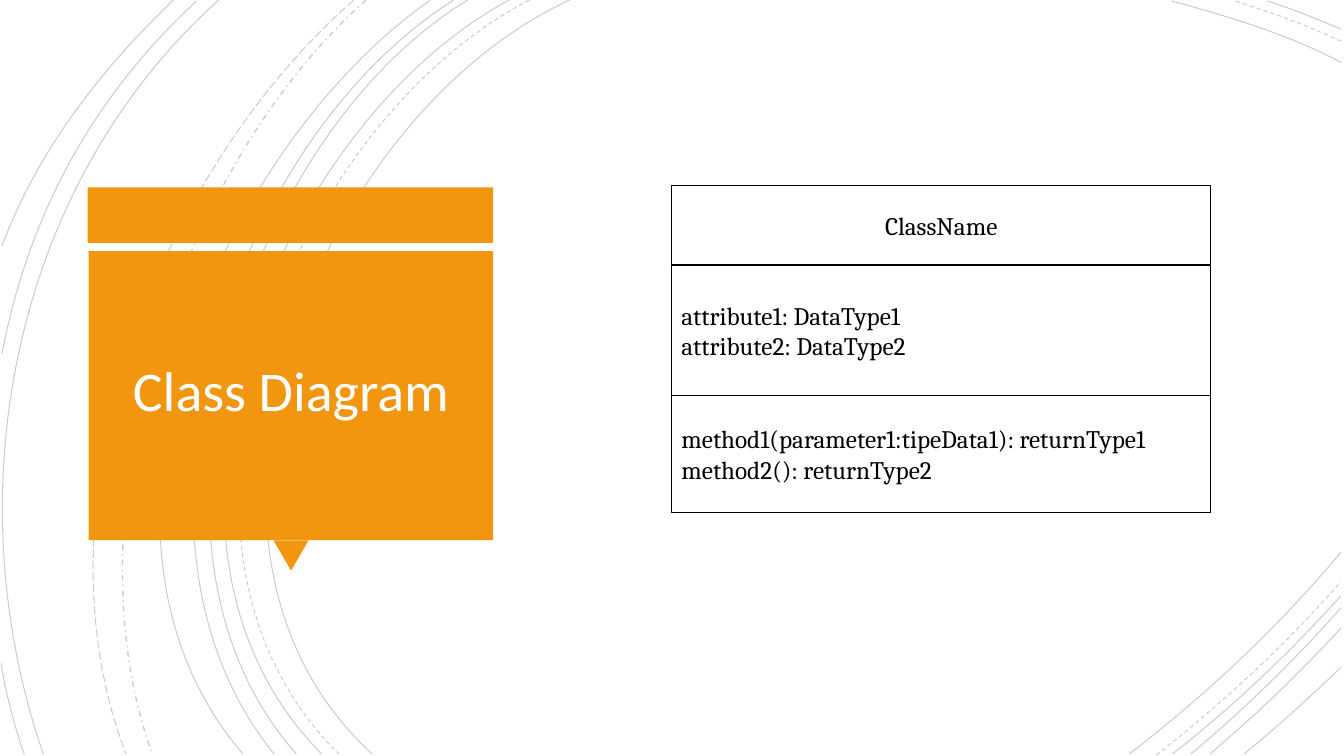
import dataclasses

import pptx
import pptx.dml.color
import pptx.enum.dml
import pptx.enum.shapes
import pptx.enum.text
import pptx.oxml
import pptx.oxml.ns
import pptx.util
from lxml import etree

SHAPE = pptx.enum.shapes.MSO_SHAPE
DASH = pptx.enum.dml.MSO_LINE
ALIGN = pptx.enum.text.PP_ALIGN
MIDDLE = pptx.enum.text.MSO_ANCHOR.MIDDLE
CELLS_PER_INCH = 100


@dataclasses.dataclass(frozen=True)
class Theme:
    """Colours, fonts, type sizes and line widths of the slide."""
    accent: str = "F3960F"
    ink: str = "000000"
    title_ink: str = "FFFEFF"
    title_font: str = "Calibri"
    body_font: str = "Cambria"
    title_size: int = 40
    body_size: int = 18
    hairline: float = 0.75
    dotted_line: float = 1
    arc_alpha: int = 20000


THEME = Theme()

SOLID_ARCS = [
    [(565, 0), (315, 115), (143, 540), (369, 748)],
    [(505, 0), (270, 127), (110, 537), (319, 748)],
    [(464, 0), (244, 133), (110, 541), (294, 748)],
    [(450, 0), (231, 138), (97, 533), (272, 748)],
    [(427, 0), (217, 147), (53, 529), (241, 748)],
    [(217, 0), (11, 185), (-46, 490), (43, 748)],
    [(195, 1), (92, 96), (28, 214), (2, 351)],
    [(1, 658), (6, 689), (14, 719), (24, 748)],
    [(172, 0), (100, 69), (37, 150), (2, 244)],
    [(1330, 62), (1278, 34), (1217, 16), (1162, 1)],
    [(1330, 29), (1307, 19), (1282, 9), (1257, 1)],
    [(1120, 748), (1196, 690), (1268, 622), (1330, 548)],
    [(1163, 748), (1223, 701), (1279, 648), (1330, 591)],
    [(1181, 748), (1234, 704), (1284, 655), (1330, 603)],
    [(1200, 748), (1246, 709), (1290, 667), (1330, 623)],
    [(1234, 748), (1267, 721), (1299, 692), (1330, 662)],
]
DASHED_ARCS = [
    [(525, 0), (285, 125), (123, 537), (336, 748)],
    [(1330, 41), (1296, 25), (1260, 12), (1225, 1)],
    [(1147, 749), (1212, 698), (1275, 640), (1330, 577)],
]
DOTTED_ARCS = [[(363, 0), (176, 166), (65, 509), (151, 748)]]
LONG_DASHED_ARCS = [[(351, 0), (157, 169), (29, 499), (125, 748)]]
ARC_FAMILIES = [
    (SOLID_ARCS, DASH.SOLID, THEME.hairline),
    (DASHED_ARCS, DASH.DASH, THEME.hairline),
    (DOTTED_ARCS, DASH.DASH_DOT, THEME.dotted_line),
    (LONG_DASHED_ARCS, DASH.LONG_DASH, THEME.hairline),
]
CLASS_ROWS = [
    (0.243, ALIGN.CENTER, ["ClassName"]),
    (0.397, ALIGN.LEFT, ["attribute1: DataType1", "attribute2: DataType2"]),
    (0.36, ALIGN.LEFT, ["method1(parameter1:tipeData1): returnType1",
                        "method2(): returnType2"]),
]


def rgb(value):
    """Return the colour of a hex string."""
    return pptx.dml.color.RGBColor.from_string(value)


def assign(target, values):
    """Set attributes of an object from a dict."""
    for name, value in values.items():
        setattr(target, name, value)


def part(box, x, y, w, h):
    """Return the rectangle at the given shares of a box."""
    left, top, width, height = box
    return [int(v) for v in (left + x * width, top + y * height,
                             w * width, h * height)]


def style_line(line, width, dash=DASH.SOLID):
    """Draw a line in ink."""
    line.fill.solid()
    line.fill.fore_color.rgb = rgb(THEME.ink)
    assign(line, {"width": pptx.util.Pt(width), "dash_style": dash})


def write(tf, lines, align, font, inset, spacing=1.0):
    """Fill a text frame with one paragraph per line."""
    x, y = (pptx.util.Inches(v) for v in inset)
    assign(tf, {"word_wrap": True, "vertical_anchor": MIDDLE,
                "auto_size": pptx.enum.text.MSO_AUTO_SIZE.NONE,
                "margin_left": x, "margin_right": x,
                "margin_top": y, "margin_bottom": y})
    name, size, colour = font
    for i, line in enumerate(lines):
        p = tf.add_paragraph() if i else tf.paragraphs[0]
        assign(p, {"alignment": align, "line_spacing": spacing})
        r = p.add_run()
        r.text = line
        assign(r.font, {"name": name, "size": pptx.util.Pt(size)})
        r.font.color.rgb = rgb(colour)


def add_arc(s, origin, points, dash, width):
    """Draw one translucent Bézier arc from four grid points."""
    scale = pptx.util.Inches(1) / CELLS_PER_INCH
    builder = s.shapes.build_freeform(*points[0], scale=scale)
    builder.add_line_segments(points[1:], close=False)
    sp = builder.convert_to_shape(*origin)
    sp.shadow.inherit = False
    sp.fill.background()
    style_line(sp.line, width, dash)
    qn = pptx.oxml.ns.qn
    colour = sp.element.find(".//" + qn("a:ln")).find(".//" + qn("a:srgbClr"))
    etree.SubElement(colour, qn("a:alpha")).set("val", str(THEME.arc_alpha))
    outline = sp.element.find(".//" + qn("a:path"))
    curve = etree.SubElement(outline, qn("a:cubicBezTo"))
    for segment in outline.findall(qn("a:lnTo")):
        curve.append(segment[0])
        outline.remove(segment)


def add_backdrop(s, box):
    """Draw every family of arcs from the corner of the box."""
    for arcs, dash, width in ARC_FAMILIES:
        for points in arcs:
            add_arc(s, box[:2], points, dash, width)


def add_title_card(s, box, text):
    """Draw the orange callout and set the title on it."""
    pieces = [(SHAPE.RECTANGLE, (0, 0, 1, 0.145), 0),
              (SHAPE.ISOSCELES_TRIANGLE, (0.458, 0.921, 0.087, 0.079), 180),
              (SHAPE.RECTANGLE, (0.002, 0.166, 0.998, 0.755), 0)]
    for kind, shares, rotation in pieces:
        sp = s.shapes.add_shape(kind, *part(box, *shares))
        assign(sp, {"rotation": rotation})
        sp.shadow.inherit = False
        sp.fill.solid()
        sp.fill.fore_color.rgb = rgb(THEME.accent)
        sp.line.fill.background()
    title = s.shapes.title
    s.shapes.element.append(title.element)
    frame = part(box, 0.025, 0.187, 0.953, 0.708)
    assign(title, dict(zip(("left", "top", "width", "height"), frame)))
    font = (THEME.title_font, THEME.title_size, THEME.title_ink)
    write(title.text_frame, [text], ALIGN.CENTER, font, (0.25, 0.25), 0.85)


def add_class_box(s, box, rows):
    """Stack the compartments of a class."""
    font = (THEME.body_font, THEME.body_size, THEME.ink)
    top = 0
    for height, align, lines in rows:
        sp = s.shapes.add_shape(SHAPE.RECTANGLE, *part(box, 0, top, 1, height))
        sp.shadow.inherit = False
        sp.fill.background()
        style_line(sp.line, THEME.hairline)
        write(sp.text_frame, lines, align, font, (0.1, 0.05))
        top += height


def main():
    """Build the slide and save it."""
    prs = pptx.Presentation()
    assign(prs, {"slide_width": pptx.util.Inches(13.33),
                 "slide_height": pptx.util.Inches(7.5)})
    s = prs.slides.add_slide(prs.slide_layouts.get_by_name("Title Only"))
    page = (0, 0, prs.slide_width, prs.slide_height)
    add_backdrop(s, page)
    add_title_card(s, part(page, 0.0653, 0.248, 0.3016, 0.5067), "Class Diagram")
    add_class_box(s, part(page, 0.4996, 0.2453, 0.4014, 0.4333), CLASS_ROWS)
    prs.save("out.pptx")


if __name__ == "__main__":
    main()
